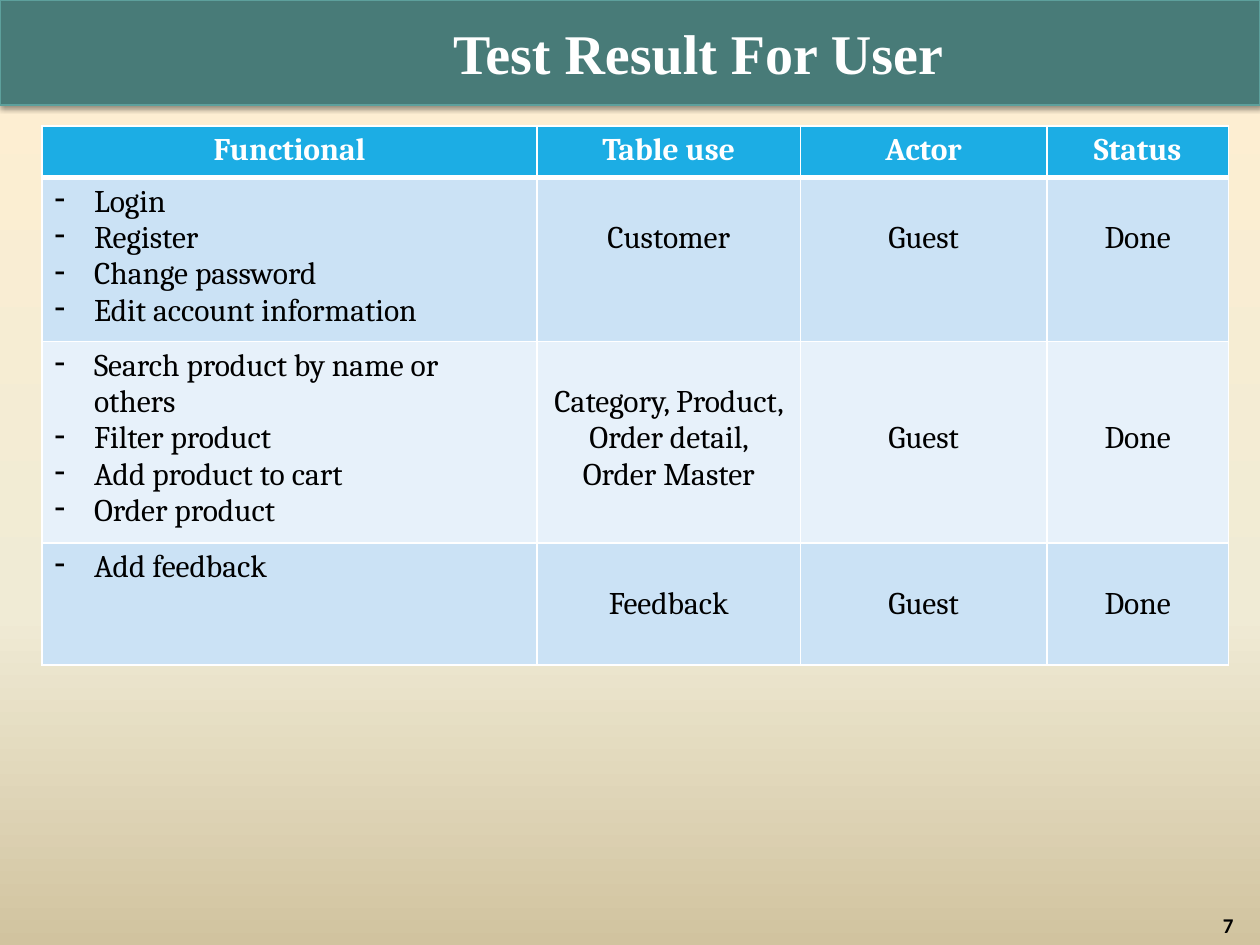
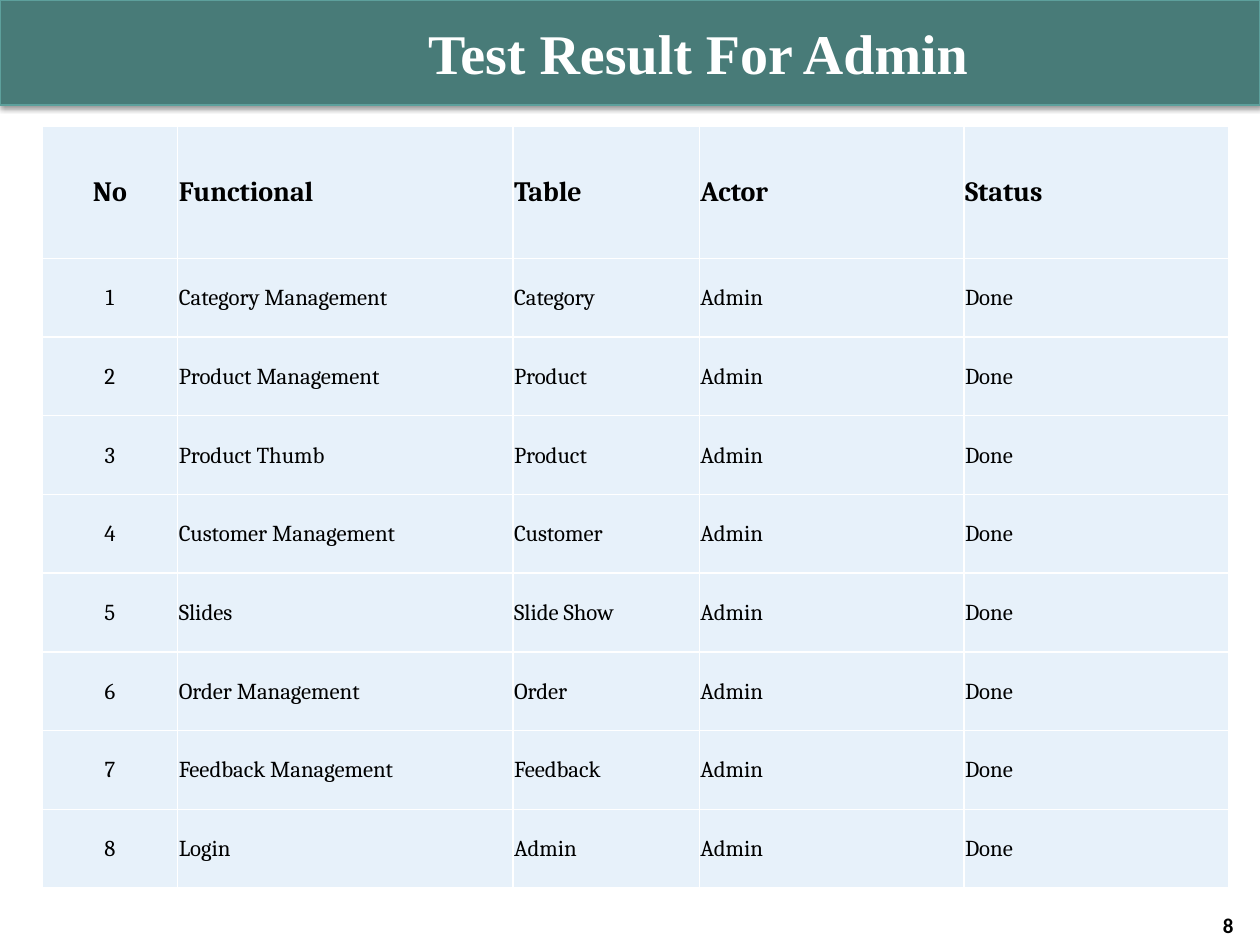
from copy import deepcopy
from lxml.etree import SubElement
from pptx import Presentation
from pptx.dml.color import RGBColor
from pptx.enum.shapes import MSO_SHAPE as Preset
from pptx.enum.text import MSO_ANCHOR as Anchor, PP_ALIGN as Align
from pptx.oxml.ns import qn
from pptx.util import Pt

LINE_HEIGHT = 20.75


def rgb(code):
    return RGBColor.from_string(code)


def add_node(parent, tag, **attributes):
    return SubElement(parent, qn(tag), {key: str(value) for key, value in attributes.items()})


class Deck:
    BAND, BAND_EDGE = "487B78", "5DA09C"
    HEADER, DARK_ROW, LIGHT_ROW = "1CADE4", "CBE2F5", "E7F1FA"
    WHITE, BLACK = "FFFFFF", "000000"
    LEFT, WIDTH, TABLE_TOP = 24, 678, 72

    def __init__(self):
        self.show = Presentation()
        self.show.slide_width, self.show.slide_height = Pt(720), Pt(540)
        self.slide = None

    def new_slide(self, title, number, background):
        self.slide = self.show.slides.add_slide(self.show.slide_layouts[6])
        self.backdrop(background)
        self.band()
        self.label(title, (self.LEFT, 6, self.WIDTH, 48), "Times New Roman", 32,
                   self.WHITE, Align.CENTER, indent=72)
        self.label(number, (8.6, 522, 703.4, 13), "Calibri", 12, self.BLACK, Align.RIGHT)

    def backdrop(self, stops):
        fill = self.slide.background.fill
        if len(stops) == 1:
            fill.solid()
            fill.fore_color.rgb = rgb(stops[0][1])
            return
        fill.gradient()
        fill.gradient_angle = 270
        stop_list = self.slide.element.find(".//" + qn("a:gsLst"))
        while len(stop_list) < len(stops):
            stop_list.append(deepcopy(stop_list[0]))
        for stop, (position, color) in zip(fill.gradient_stops, stops):
            stop.position = position
            stop.color.rgb = rgb(color)

    def band(self):
        band = self.slide.shapes.add_shape(Preset.RECTANGLE, 0, 0, Pt(720), Pt(60))
        band.fill.solid()
        band.fill.fore_color.rgb = rgb(self.BAND)
        band.line.color.rgb = rgb(self.BAND_EDGE)
        band.line.width = Pt(0.75)
        band.shadow.inherit = False
        effects = band.element.spPr.find(qn("a:effectLst"))
        shadow = add_node(effects, "a:outerShdw", blurRad=Pt(3.1), dist=Pt(1.6),
                          dir=5400000, rotWithShape=0)
        color = add_node(shadow, "a:srgbClr", val=self.BLACK)
        add_node(color, "a:alpha", val=38000)

    def style(self, paragraph, font, size, color, bold, align):
        paragraph.alignment = align
        for run in paragraph.runs:
            run.font.name, run.font.size, run.font.bold = font, Pt(size), bold
            run.font.color.rgb = rgb(color)

    def label(self, text, box, font, size, color, align, indent=0):
        frame = self.slide.shapes.add_textbox(*map(Pt, box)).text_frame
        frame.word_wrap = True
        frame.vertical_anchor = Anchor.MIDDLE
        frame.margin_left = Pt(7.2 + indent)
        frame.text = text
        self.style(frame.paragraphs[0], font, size, color, True, align)

    def table(self, widths, heights):
        frame = self.slide.shapes.add_table(
            len(heights), len(widths), Pt(self.LEFT), Pt(self.TABLE_TOP),
            Pt(sum(widths)), Pt(sum(heights)))
        table = frame.table
        table.first_row = table.horz_banding = False
        for column, width in zip(table.columns, widths):
            column.width = Pt(width)
        for row, height in zip(table.rows, heights):
            row.height = Pt(height)
        return table

    def cell(self, cell, text, fill, size, color=BLACK, bold=False, align=Align.LEFT,
             margins=(7.2, 3.6, 7.2, 3.6), anchor=Anchor.TOP, top=1, bottom=1):
        cell.text = text
        (cell.margin_left, cell.margin_top,
         cell.margin_right, cell.margin_bottom) = map(Pt, margins)
        cell.vertical_anchor = anchor
        self.borders(cell, top, bottom)
        cell.fill.solid()
        cell.fill.fore_color.rgb = rgb(fill)
        for paragraph in cell.text_frame.paragraphs:
            self.style(paragraph, "Cambria", size, color, bold, align)

    def borders(self, cell, top, bottom):
        properties = cell._tc.get_or_add_tcPr()
        for side, width in zip("LRTB", (1, 1, top, bottom)):
            edge = add_node(properties, "a:ln" + side, w=Pt(width))
            add_node(add_node(edge, "a:solidFill"), "a:srgbClr", val=self.WHITE)

    def dashes(self, cell):
        for paragraph in cell.text_frame.paragraphs:
            properties = paragraph._p.get_or_add_pPr()
            properties.set("marL", str(Pt(22.5)))
            properties.set("indent", str(Pt(-22.5)))
            add_node(add_node(properties, "a:buClr"), "a:srgbClr", val=self.BLACK)
            add_node(properties, "a:buChar", char="-")

    def user_tests(self, headings, tests, widths, heights):
        table = self.table(widths, heights)
        for column, heading in enumerate(headings):
            self.cell(table.cell(0, column), heading, self.HEADER, 18, self.WHITE,
                      True, Align.CENTER, bottom=3)
        for row, (functions, tables, tables_line, actor_line) in enumerate(tests, 1):
            fill = self.DARK_ROW if row % 2 else self.LIGHT_ROW
            top = 3 if row == 1 else 1
            functional = table.cell(row, 0)
            self.cell(functional, "\n".join(functions), fill, 18, top=top)
            self.dashes(functional)
            details = ((tables, tables_line), ("Guest", actor_line), ("Done", actor_line))
            for column, (text, line) in enumerate(details, 1):
                self.cell(table.cell(row, column), text, fill, 18, align=Align.CENTER,
                          margins=(7.2, 3.6 + line * LINE_HEIGHT, 7.2, 3.6), top=top)

    def admin_tests(self, headings, tests, widths, heights):
        table = self.table(widths, heights)
        numbered = [(str(number), *test, "Admin", "Done")
                    for number, test in enumerate(tests, 1)]
        for row, texts in enumerate([headings, *numbered]):
            for column, text in enumerate(texts):
                self.cell(table.cell(row, column), text, self.LIGHT_ROW,
                          13 if row else 16, bold=row == 0,
                          align=Align.LEFT if column else Align.CENTER,
                          margins=(0.7, 0.7, 0.7, 0), anchor=Anchor.MIDDLE)


deck = Deck()

deck.new_slide("Test Result For User", "7",
               [(0, "FFEFD1"), (0.65, "F0EBD5"), (1, "D1C39F")])
deck.user_tests(
    ("Functional", "Table use", "Actor", "Status"),
    [
        (("Login", "Register", "Change password", "Edit account information"),
         "Customer", 1, 1),
        (("Search product by name or others", "Filter product",
          "Add product to cart", "Order product"),
         "Category, Product, Order detail, Order Master", 1, 2),
        (("Add feedback",), "Feedback", 1, 1),
    ],
    widths=(283, 150.3, 141, 103.7),
    heights=(29.5, 90.2, 111, 69.6))

deck.new_slide("Test Result For Admin", "8", [(0, Deck.WHITE)])
deck.admin_tests(
    ("No", "Functional", "Table", "Actor", "Status"),
    [
        ("Category Management", "Category"),
        ("Product Management", "Product"),
        ("Product Thumb", "Product"),
        ("Customer Management", "Customer"),
        ("Slides", "Slide Show"),
        ("Order Management", "Order"),
        ("Feedback Management", "Feedback"),
        ("Login", "Admin"),
    ],
    widths=(77.5, 191.6, 106.5, 151.2, 151.2),
    heights=(75.6, *[45] * 8))

deck.show.save("out.pptx")
